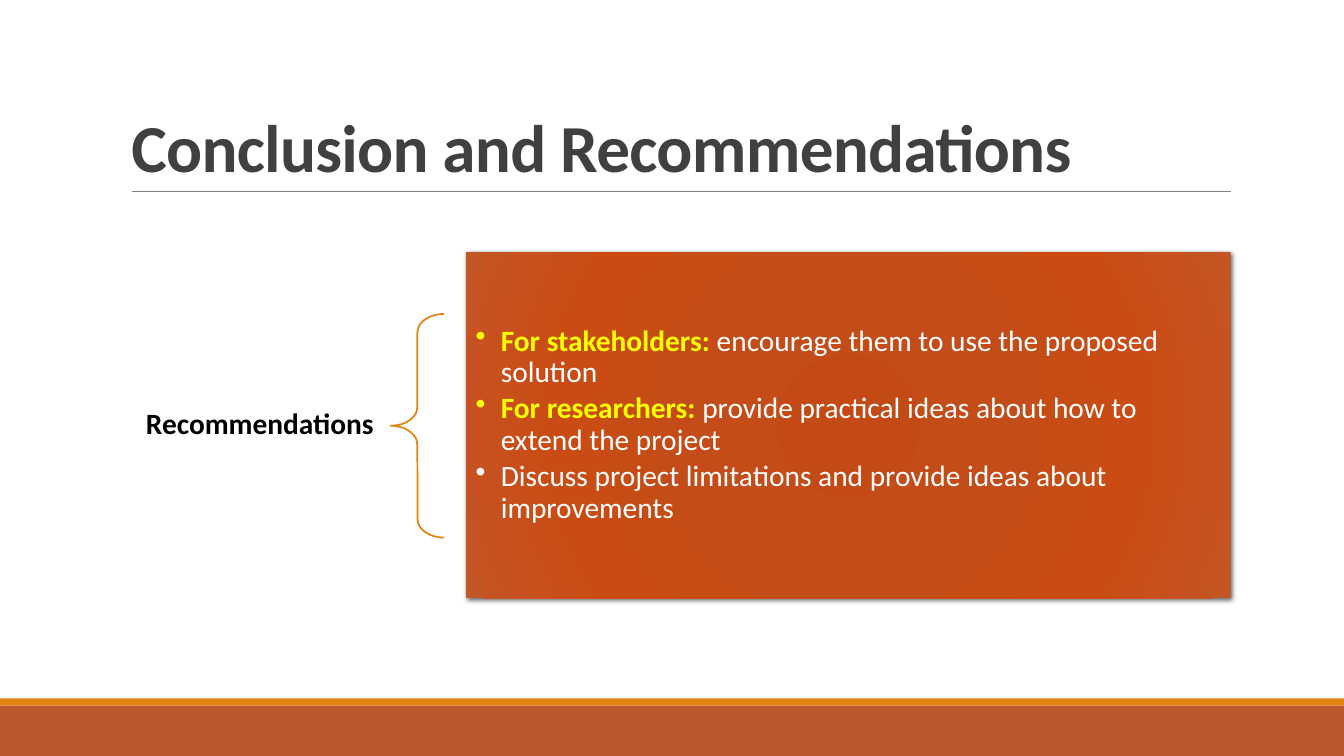
"""Builds the "Conclusion and Recommendations" slide."""
from pptx import Presentation
from pptx.dml.color import RGBColor
from pptx.enum.shapes import MSO_CONNECTOR, MSO_SHAPE
from pptx.enum.text import MSO_ANCHOR, MSO_AUTO_SIZE, PP_ALIGN
from pptx.oxml import parse_xml
from pptx.oxml.ns import nsdecls, qn
from pptx.util import Pt

RECTANGLE, LEFT_BRACE = MSO_SHAPE.RECTANGLE, MSO_SHAPE.LEFT_BRACE
STRAIGHT, NO_AUTOFIT = MSO_CONNECTOR.STRAIGHT, MSO_AUTO_SIZE.NONE
MIDDLE, BOTTOM = MSO_ANCHOR.MIDDLE, MSO_ANCHOR.BOTTOM
LEFT, RIGHT = PP_ALIGN.LEFT, PP_ALIGN.RIGHT

RUST = RGBColor(0xBD, 0x58, 0x2C)
ORANGE = RGBColor(0xE4, 0x83, 0x12)
GREY = RGBColor(0x80, 0x80, 0x80)
CHARCOAL = RGBColor(0x40, 0x40, 0x40)
BLACK = RGBColor(0, 0, 0)
WHITE = RGBColor(0xFF, 0xFF, 0xFF)
YELLOW = RGBColor(0xFF, 0xFF, 0)
PANEL_STOPS = [
    (0, RGBColor(0xC4, 0x4A, 0x15)),
    (34, RGBColor(0xC3, 0x4C, 0x18)),
    (70, RGBColor(0xC9, 0x4C, 0x15)),
    (100, RGBColor(0xC4, 0x55, 0x25)),
]

RECOMMENDATIONS = [
    ("For stakeholders: ", "encourage them to use the proposed solution"),
    ("For researchers: ", "provide practical ideas about how to extend the project"),
    ("", "Discuss project limitations and provide ideas about improvements"),
]


class SlideBuilder:
    """Holds the style and the current slide, and draws elements in px."""

    PX = 9525
    FONT = "Calibri"
    BODY_SIZE = 21

    def __init__(self, width, height):
        self.deck = Presentation()
        self.deck.slide_width, self.deck.slide_height = self.emu(width, height)
        self.slide = self.deck.slides.add_slide(self.deck.slide_layouts[5])

    def emu(self, *lengths):
        """Turn px lengths into EMU."""
        return [length * self.PX for length in lengths]

    def style(self, run, size, color, bold=False):
        """Format one run."""
        font = run.font
        font.name, font.size, font.bold = self.FONT, Pt(size), bold
        font.color.rgb = color

    def frame(self, shape, anchor, inset_x, inset_y):
        """Set up wrapping, anchor and insets of a text frame."""
        text_frame = shape.text_frame
        text_frame.word_wrap, text_frame.auto_size = True, NO_AUTOFIT
        text_frame.vertical_anchor = anchor
        text_frame.margin_left = text_frame.margin_right = self.emu(inset_x)[0]
        text_frame.margin_top = text_frame.margin_bottom = self.emu(inset_y)[0]
        return text_frame

    def line_of_text(self, text_frame, text, size, color, align, spacing):
        """Fill a frame with one bold line."""
        text_frame.text = text
        paragraph = text_frame.paragraphs[0]
        paragraph.alignment, paragraph.line_spacing = align, spacing
        self.style(paragraph.runs[0], size, color, bold=True)
        return paragraph.runs[0]

    def title(self, text, *box):
        """Place and format the title placeholder."""
        heading = self.slide.shapes.title
        heading.left, heading.top, heading.width, heading.height = self.emu(*box)
        text_frame = self.frame(heading, BOTTOM, 10, 5)
        run = self.line_of_text(text_frame, text, 48, CHARCOAL, LEFT, 0.85)
        run.font._element.set("spc", "-50")

    def label(self, text, *box):
        """Add a right-aligned bold label."""
        text_frame = self.frame(self.slide.shapes.add_textbox(*self.emu(*box)), MIDDLE, 15, 6)
        self.line_of_text(text_frame, text, self.BODY_SIZE, BLACK, RIGHT, 0.9)

    def shape(self, preset, *box):
        """Add a preset shape without shadow, fill or line."""
        shape = self.slide.shapes.add_shape(preset, *self.emu(*box))
        shape.shadow.inherit = False
        shape.fill.background()
        shape.line.fill.background()
        return shape

    def bar(self, color, *box):
        """Add a solid rectangle."""
        bar = self.shape(RECTANGLE, *box)
        bar.fill.solid()
        bar.fill.fore_color.rgb = color

    def rule(self, color, left, top, right):
        """Add a thin horizontal line."""
        rule = self.slide.shapes.add_connector(STRAIGHT, *self.emu(left, top, right, top))
        rule.line.color.rgb, rule.line.width = color, Pt(0.5)
        rule._element.spPr.append(parse_xml(f"<a:effectLst {nsdecls('a')}/>"))

    def brace(self, color, *box):
        """Add an outlined left brace."""
        brace = self.shape(LEFT_BRACE, *box)
        brace.adjustments[0], brace.adjustments[1] = 0.35, 0.5
        brace.line.color.rgb, brace.line.width = color, Pt(1.25)

    def panel(self, stops, *box):
        """Add a rectangle with a radial gradient and a soft shadow."""
        panel = self.shape(RECTANGLE, *box)
        properties = panel._element.spPr
        stop_list = "".join(
            f'<a:gs pos="{position * 1000}"><a:srgbClr val="{color}"/></a:gs>'
            for position, color in stops)
        gradient = parse_xml(
            f'<a:gradFill {nsdecls("a")} rotWithShape="1"><a:gsLst>{stop_list}</a:gsLst>'
            '<a:path path="circle"><a:fillToRect l="100000" t="100000" r="100000" b="100000"/>'
            '</a:path></a:gradFill>')
        properties.replace(properties.find(qn("a:noFill")), gradient)
        properties.find(qn("a:effectLst")).append(parse_xml(
            f'<a:outerShdw {nsdecls("a")} blurRad="{Pt(3)}" dist="{Pt(2)}" dir="2700000" '
            'rotWithShape="0"><a:srgbClr val="000000"><a:alpha val="60000"/></a:srgbClr>'
            '</a:outerShdw>'))
        return panel

    def bullets(self, shape, items):
        """Fill a shape with bullets that open with a highlighted lead."""
        text_frame = self.frame(shape, MIDDLE, 9, 9)
        indent = self.emu(24)[0]
        for index, (lead, detail) in enumerate(items):
            paragraph = text_frame.add_paragraph() if index else text_frame.paragraphs[0]
            paragraph.level, paragraph.alignment = 1, LEFT
            paragraph.line_spacing, paragraph.space_after = 0.9, Pt(3)
            properties = paragraph._p.get_or_add_pPr()
            properties.set("marL", str(indent))
            properties.set("indent", str(-indent))
            properties.append(parse_xml(f'<a:buChar {nsdecls("a")} char="•"/>'))
            if lead:
                run = paragraph.add_run()
                run.text = lead
                self.style(run, self.BODY_SIZE, YELLOW, bold=True)
            run = paragraph.add_run()
            run.text = detail
            self.style(run, self.BODY_SIZE, WHITE)


def main():
    """Build and save the slide."""
    builder = SlideBuilder(1280, 720)
    builder.bar(RUST, 0, 672, 1280, 48)
    builder.bar(ORANGE, 0, 665, 1280, 7)
    builder.rule(GREY, 126, 182, 1172)
    builder.title("Conclusion and Recommendations", 115, 30, 1056, 152)
    builder.label("Recommendations", 115, 383, 256, 43)
    builder.brace(ORANGE, 372, 299, 51, 213)
    recommendations = builder.panel(PANEL_STOPS, 444, 240, 728, 330)
    builder.bullets(recommendations, RECOMMENDATIONS)
    builder.deck.save("out.pptx")


if __name__ == "__main__":
    main()
